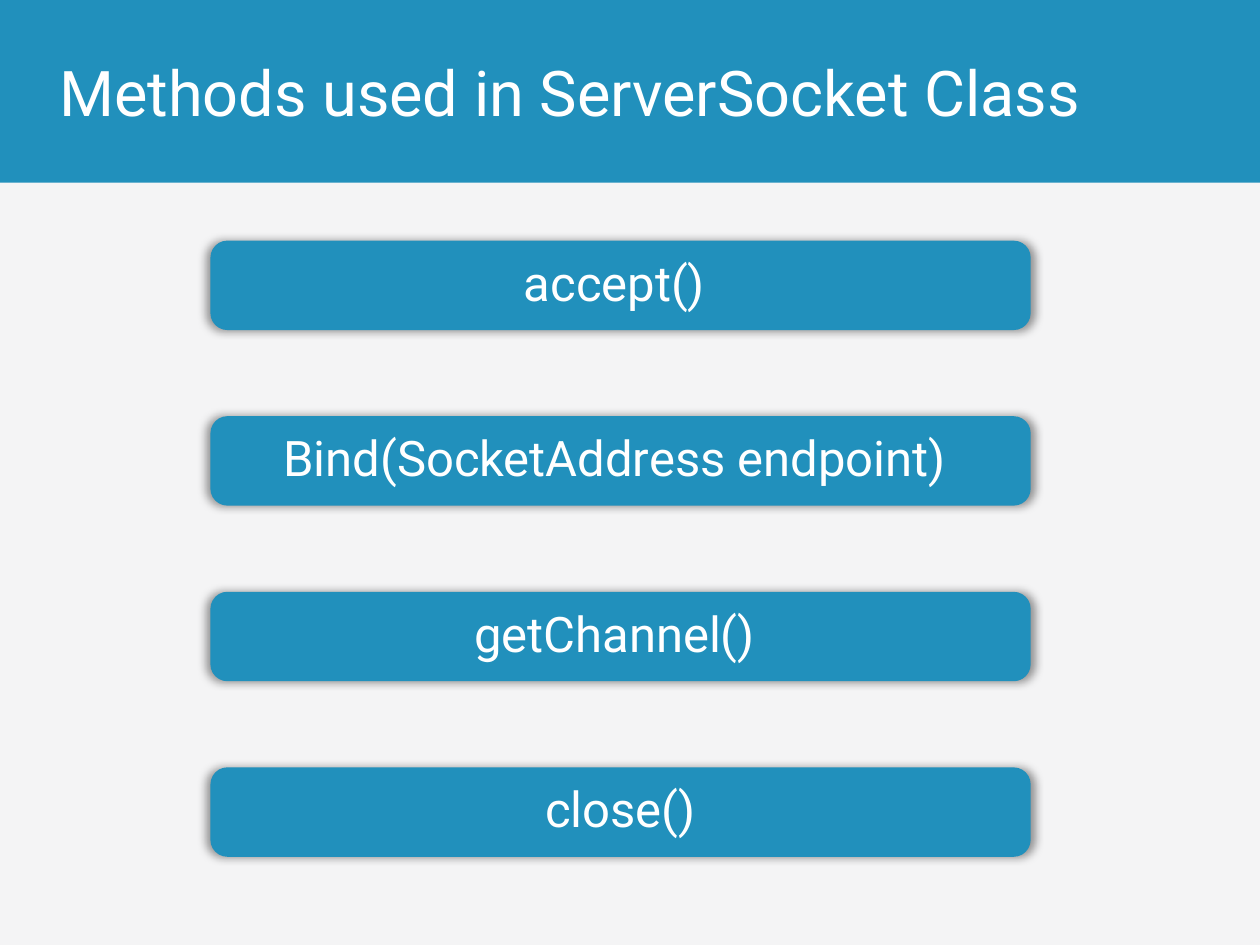
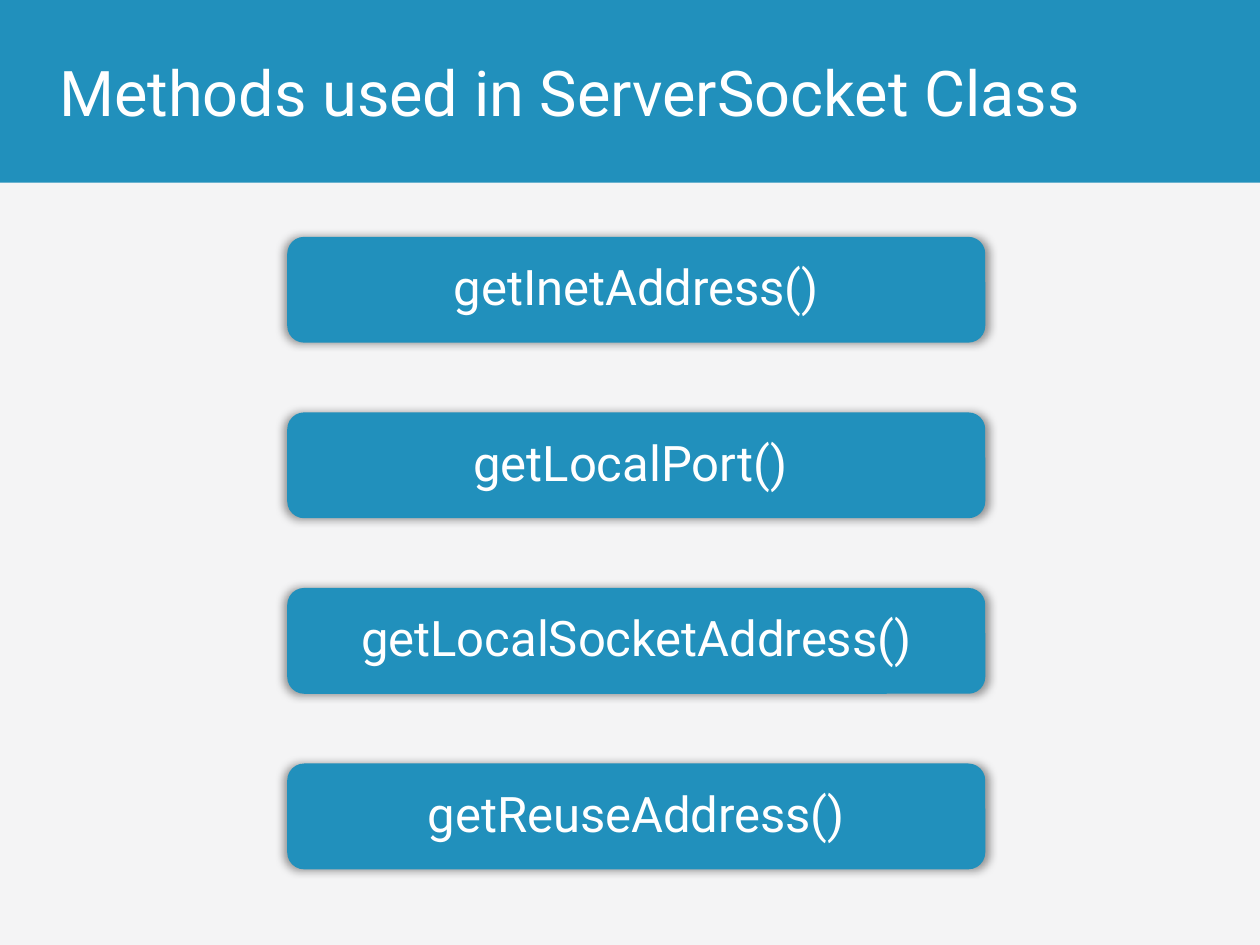
from dataclasses import dataclass

import lxml.etree
import pptx
import pptx.dml.color
import pptx.enum.shapes
import pptx.enum.text
import pptx.oxml
import pptx.oxml.ns
import pptx.presentation
import pptx.slide
import pptx.text.text
import pptx.util
from pptx.util import Inches

# Shared style
COLORS = {"back": "F4F4F5", "blue": "2190BC", "white": "FFFFFF", "shade": "000000"}
FONT = "Roboto"
TITLE = "Methods used in ServerSocket Class"
WIDTH, HEIGHT = Inches(10), Inches(7.5)
BAND = Inches(1.45)
SPAN = Inches(4.18)  # from the top of the first bar to the top of the last
INSET = Inches(0.18)


@dataclass
class Stack:
    """Equal bars, one under the other, each naming a method."""
    left: float
    top: float
    width: float
    height: float
    round: float
    names: list[str]


STACKS = [
    Stack(1.67, 1.91, 6.51, 0.71, 0.19,
          ["accept() ", "Bind(SocketAddress endpoint) ", "getChannel() ", "close()"]),
    Stack(2.28, 1.88, 5.54, 0.84, 0.16,
          ["getInetAddress()", "getLocalPort() ", "getLocalSocketAddress()",
           "getReuseAddress()"]),
]


def color(name: str) -> pptx.dml.color.RGBColor:
    return pptx.dml.color.RGBColor.from_string(COLORS[name])


def write(frame: pptx.text.text.TextFrame, text: str, size: int,
          align: pptx.enum.text.PP_ALIGN) -> None:
    frame.text = text
    frame.word_wrap = True
    frame.auto_size = pptx.enum.text.MSO_AUTO_SIZE.NONE
    frame.vertical_anchor = pptx.enum.text.MSO_ANCHOR.MIDDLE
    line = frame.paragraphs[0]
    line.alignment = align
    font = line.runs[0].font
    font.name, font.size = FONT, pptx.util.Pt(size)
    font.color.rgb = color("white")


def add_block(slide: pptx.slide.Slide, kind: pptx.enum.shapes.MSO_SHAPE,
              left: int, top: int, width: int, height: int):
    block = slide.shapes.add_shape(kind, left, top, width, height)
    block.shadow.inherit = False
    block.fill.solid()
    block.fill.fore_color.rgb = color("blue")
    block.line.fill.background()
    return block


def add_glow(block) -> None:
    """Give a bar its soft, centred shadow."""
    qn = pptx.oxml.ns.qn
    effects = block.element.spPr.find(qn("a:effectLst"))
    shadow = lxml.etree.SubElement(
        effects, qn("a:outerShdw"), blurRad=str(pptx.util.Pt(5)), dist="0",
        sx="101000", sy="101000", algn="ctr", rotWithShape="0")
    shade = lxml.etree.SubElement(shadow, qn("a:srgbClr"), val=COLORS["shade"])
    lxml.etree.SubElement(shade, qn("a:alpha"), val="40000")


def add_head(slide: pptx.slide.Slide) -> None:
    add_block(slide, pptx.enum.shapes.MSO_SHAPE.RECTANGLE, 0, 0, WIDTH, BAND)
    title = slide.shapes.title
    title.left, title.top = Inches(0.37), 0
    title.width, title.height = Inches(8.62), BAND
    write(title.text_frame, TITLE, 36, pptx.enum.text.PP_ALIGN.LEFT)
    # The title stands in front of the band
    title.element.getparent().append(title.element)


def add_stack(slide: pptx.slide.Slide, stack: Stack) -> None:
    step = SPAN / (len(stack.names) - 1)
    for row, name in enumerate(stack.names):
        bar = add_block(slide, pptx.enum.shapes.MSO_SHAPE.ROUNDED_RECTANGLE,
                        Inches(stack.left), round(Inches(stack.top) + row * step),
                        Inches(stack.width), Inches(stack.height))
        bar.adjustments[0] = stack.round
        add_glow(bar)
        frame = bar.text_frame
        frame.margin_left = frame.margin_right = INSET
        frame.margin_top = frame.margin_bottom = INSET
        write(frame, name, 28, pptx.enum.text.PP_ALIGN.CENTER)
        frame.paragraphs[0].line_spacing = 0.9


def add_page(deck: pptx.presentation.Presentation, stack: Stack) -> None:
    slide = deck.slides.add_slide(deck.slide_layouts.get_by_name("Title Only"))
    slide.background.fill.solid()
    slide.background.fill.fore_color.rgb = color("back")
    add_head(slide)
    add_stack(slide, stack)


def main() -> None:
    deck = pptx.Presentation()
    deck.slide_width, deck.slide_height = WIDTH, HEIGHT
    for stack in STACKS:
        add_page(deck, stack)
    deck.save("out.pptx")


if __name__ == "__main__":
    main()
